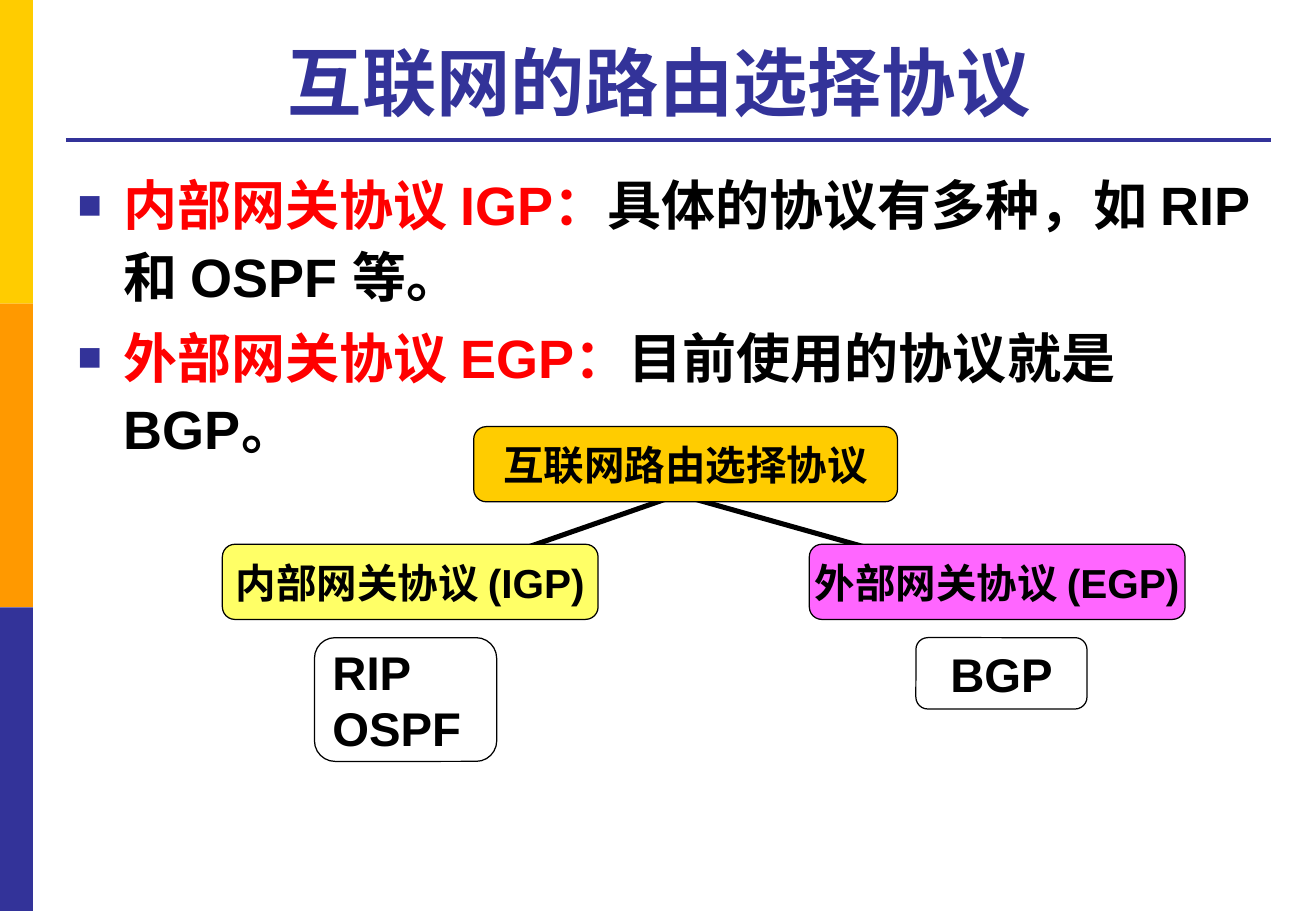
from lxml.etree import SubElement
from pptx import Presentation
from pptx.dml.color import RGBColor
from pptx.enum.lang import MSO_LANGUAGE_ID
from pptx.enum.shapes import MSO_CONNECTOR, MSO_SHAPE
from pptx.enum.text import MSO_ANCHOR, PP_ALIGN
from pptx.oxml.ns import qn
from pptx.util import Inches, Pt

GOLD = RGBColor(0xFF, 0xCC, 0x00)
ORANGE = RGBColor(0xFF, 0x99, 0x00)
NAVY = RGBColor(0x33, 0x33, 0x99)
RED = RGBColor(0xFF, 0x00, 0x00)
BLACK = RGBColor(0x00, 0x00, 0x00)
YELLOW = RGBColor(0xFF, 0xFF, 0x66)
PINK = RGBColor(0xFF, 0x66, 0xFF)

deck = Presentation()
deck.slide_width, deck.slide_height = Inches(10.83), Inches(7.5)
slide = deck.slides.add_slide(deck.slide_layouts[6])

# Grid of 20 columns by 12 rows
COL, ROW = deck.slide_width / 20, deck.slide_height / 12


def on_grid(x, y, x2, y2):
    return int(x * COL), int(y * ROW), int(x2 * COL), int(y2 * ROW)


def add_words(paragraph, words, size, color):
    run = paragraph.add_run()
    run.text = words
    run.font.color.rgb = color
    style = {"name": "Arial", "size": Pt(size), "bold": True,
             "language_id": MSO_LANGUAGE_ID.SIMPLIFIED_CHINESE}
    for key, value in style.items():
        setattr(run.font, key, value)


# Side bands
for third, color in enumerate((GOLD, ORANGE, NAVY)):
    band = slide.shapes.add_shape(MSO_SHAPE.RECTANGLE, *on_grid(0, 4 * third, 0.5, 4))
    band.shadow.inherit = False
    band.fill.solid()
    band.fill.fore_color.rgb = color
    band.line.fill.background()

# Title rule and tree branches
for ends, color, weight in (
    ((1, 1.84, 19.32, 1.84), NAVY, 2.25),
    ((10.1, 6.58, 7.35, 7.41), BLACK, 3),
    ((10.58, 6.58, 13.98, 7.41), BLACK, 3),
):
    stroke = slide.shapes.add_connector(MSO_CONNECTOR.STRAIGHT, *on_grid(*ends))
    stroke.line.color.rgb = color
    stroke.line.width = Pt(weight)
    SubElement(stroke.element.spPr, qn("a:effectLst"))

# Title
title = slide.shapes.add_textbox(*on_grid(1, 0.34, 18.3, 1.39)).text_frame
title.word_wrap = True
title.vertical_anchor = MSO_ANCHOR.BOTTOM
title.paragraphs[0].alignment = PP_ALIGN.CENTER
add_words(title.paragraphs[0], "互联网的路由选择协议 ", 44, NAVY)

# Definitions, with square bullets
definitions = slide.shapes.add_textbox(*on_grid(1, 2.1, 18.3, 8.64)).text_frame
definitions.word_wrap = True
for index, (term, meaning) in enumerate((
    ("内部网关协议 IGP：", "具体的协议有多种，如 RIP 和 OSPF 等。"),
    ("外部网关协议 EGP：", "目前使用的协议就是 BGP。"),
)):
    item = definitions.add_paragraph() if index else definitions.paragraphs[0]
    item.line_spacing = 1.1
    item.space_before = Pt(6)
    add_words(item, term, 32, RED)
    add_words(item, meaning, 32, BLACK)
    props = item._p.get_or_add_pPr()
    props.set("marL", str(Inches(0.38)))
    props.set("indent", str(-Inches(0.38)))
    bullet_color = SubElement(props, qn("a:buClr"))
    SubElement(bullet_color, qn("a:srgbClr"), val=str(NAVY))
    SubElement(props, qn("a:buSzPct"), val="75000")
    SubElement(props, qn("a:buFont"), typeface="Arial")
    SubElement(props, qn("a:buChar"), char="■")

# Protocol tree
for place, lines, size, color, alignment in (
    ((4.78, 8.4, 2.77, 1.63), ("RIP", "OSPF"), 28, None, PP_ALIGN.LEFT),
    ((7.2, 5.62, 6.44, 0.99), ("互联网路由选择协议",), 24, GOLD, PP_ALIGN.CENTER),
    ((13.92, 8.4, 2.6, 0.94), ("BGP",), 28, None, PP_ALIGN.CENTER),
    ((12.3, 7.17, 5.71, 0.99), ("外部网关协议 (EGP)",), 24, PINK, PP_ALIGN.CENTER),
    ((3.38, 7.17, 5.71, 0.99), ("内部网关协议 (IGP)",), 24, YELLOW, PP_ALIGN.CENTER),
):
    protocol = slide.shapes.add_shape(MSO_SHAPE.ROUNDED_RECTANGLE, *on_grid(*place))
    protocol.shadow.inherit = False
    protocol.line.color.rgb = BLACK
    protocol.line.width = Pt(0.75)
    if color is None:
        protocol.fill.background()
    else:
        protocol.fill.solid()
        protocol.fill.fore_color.rgb = color
    label = protocol.text_frame
    label.word_wrap = False
    label.vertical_anchor = MSO_ANCHOR.MIDDLE
    for index, words in enumerate(lines):
        entry = label.add_paragraph() if index else label.paragraphs[0]
        entry.alignment = alignment
        add_words(entry, words, size, BLACK)

deck.save("out.pptx")
